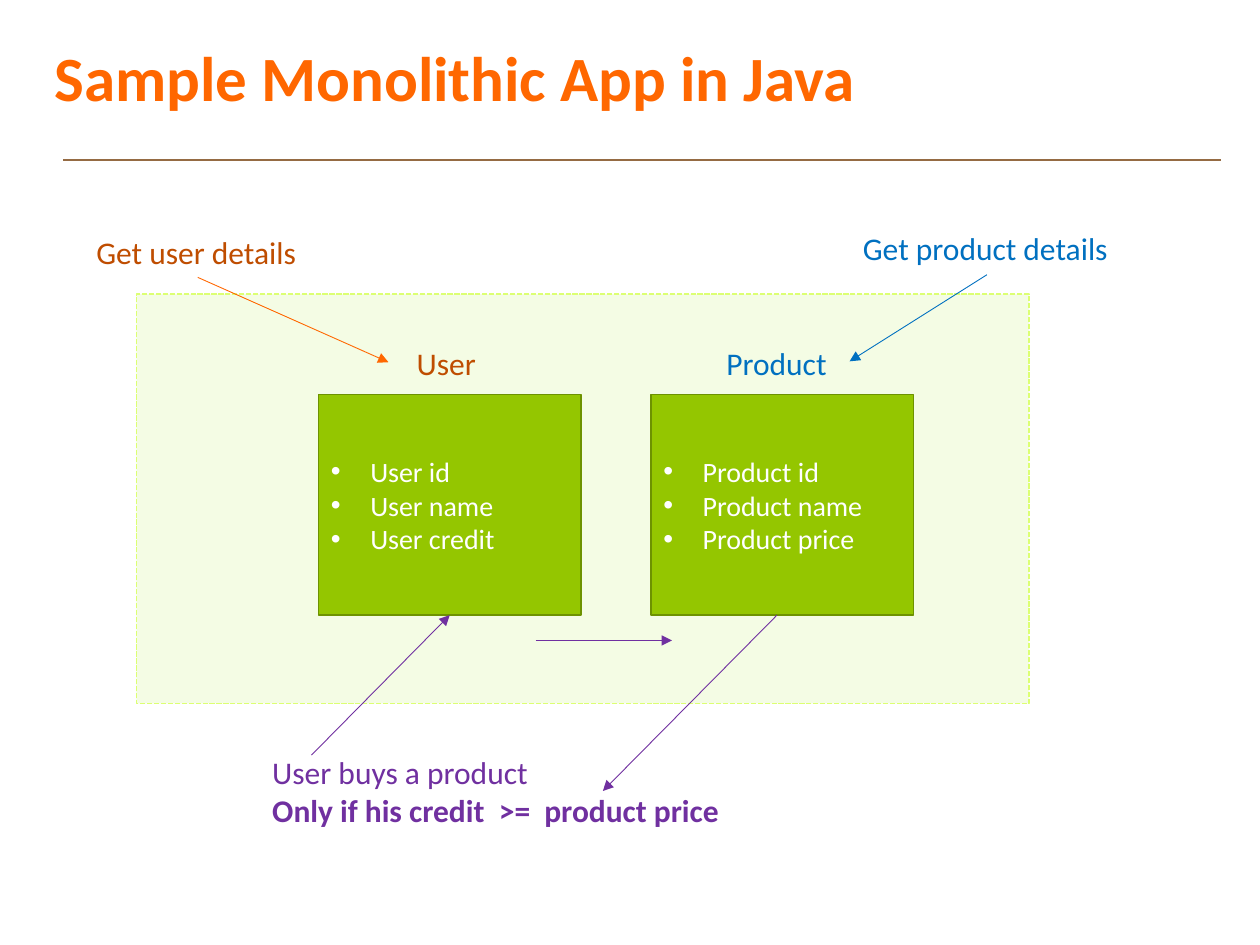
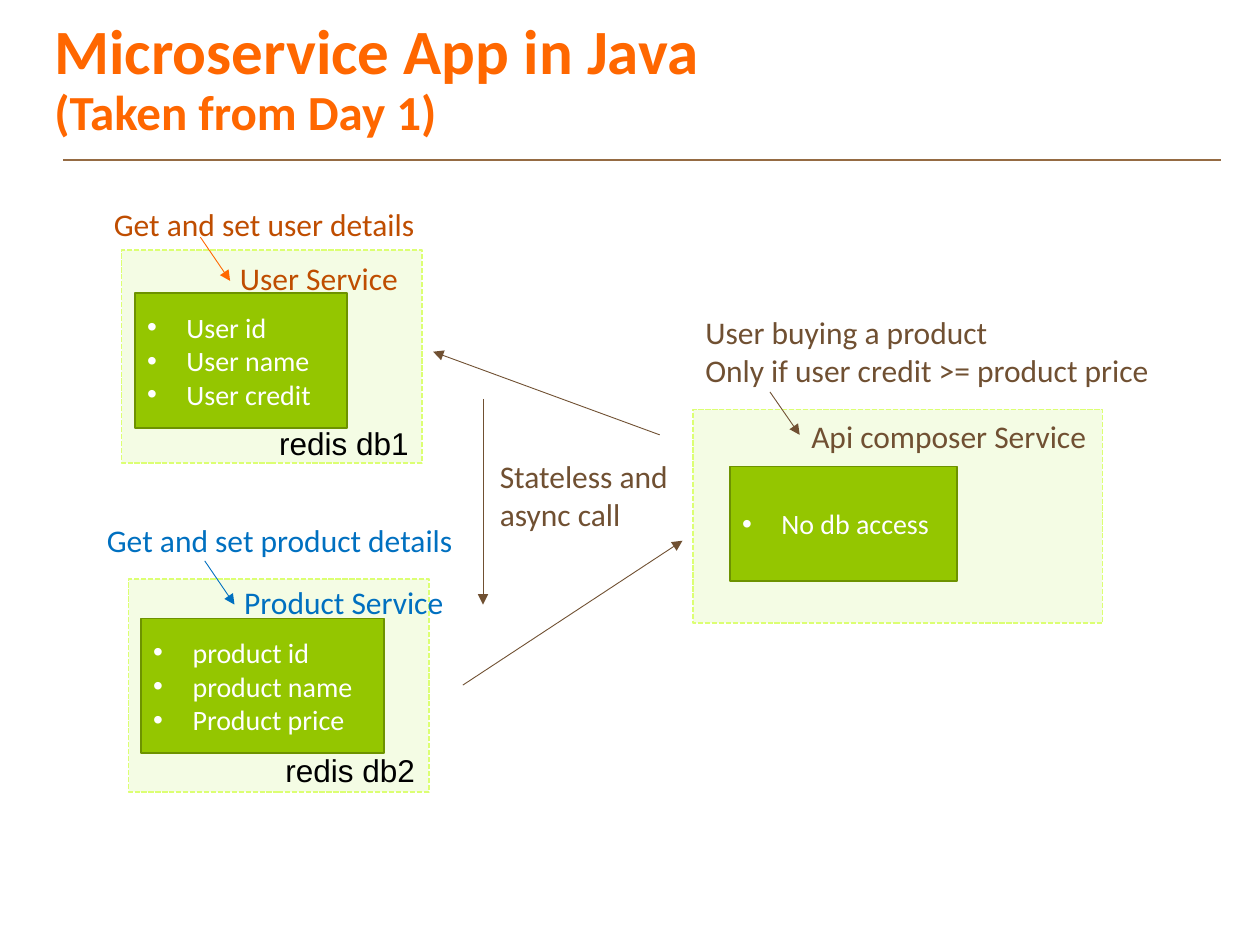
import dataclasses
import lxml.etree
import pptx
import pptx.dml.color
import pptx.enum.dml
import pptx.enum.shapes
import pptx.enum.text
import pptx.oxml.ns
import pptx.util

Pt = pptx.util.Pt
qn = pptx.oxml.ns.qn


# Theme
@dataclasses.dataclass(frozen=True)
class Theme:
    font: str = "Calibri"
    database_font: str = "Arial"
    title_size: float = 36
    subtitle_size: float = 28
    label_size: float = 18
    card_size: float = 16
    orange: str = "FF6700"
    user: str = "BF4D00"
    product: str = "0070C0"
    purchase: str = "7030A0"
    composer: str = "705032"
    database: str = "000000"
    rule: str = "956B43"
    panel: str = "F4FCE4"
    panel_edge: str = "DCFF73"
    card: str = "94C600"
    card_edge: str = "6D9200"
    card_text: str = "FFFFFF"


THEME = Theme()


# Repeated elements; all lengths in points
@dataclasses.dataclass(frozen=True)
class Area:
    left: float
    top: float
    width: float
    height: float

    def lengths(self) -> tuple:
        return Pt(self.left), Pt(self.top), Pt(self.width), Pt(self.height)


@dataclasses.dataclass(frozen=True)
class Card:
    area: Area
    items: tuple


@dataclasses.dataclass(frozen=True)
class Label:
    left: float
    top: float
    width: float
    color: str
    lines: tuple
    bold_line: str = ""
    tabs: tuple = ()
    font: str = THEME.font


@dataclasses.dataclass(frozen=True)
class Arrow:
    start: tuple
    end: tuple
    color: str
    target_card: int | None = None  # card whose bottom side the head joins


@dataclasses.dataclass(frozen=True)
class Diagram:
    title: str
    panels: tuple
    cards: tuple
    labels: tuple
    arrows: tuple
    subtitle: str = ""


def rgb(color: str) -> pptx.dml.color.RGBColor:
    return pptx.dml.color.RGBColor.from_string(color)


def style_font(font, size: float, color: str, name: str = THEME.font, bold: bool = False) -> None:
    font.name, font.size, font.bold = name, Pt(size), bold
    font.color.rgb = rgb(color)


def fill_paragraphs(frame, lines: tuple) -> list:
    """Put one line of text in each paragraph of the frame."""
    paragraphs = []
    for index, line in enumerate(lines):
        para = frame.add_paragraph() if index else frame.paragraphs[0]
        para.text = line
        para.alignment = pptx.enum.text.PP_ALIGN.LEFT
        paragraphs.append(para)
    return paragraphs


def add_rectangle(page, area: Area, fill: str, edge: str):
    box = page.shapes.add_shape(pptx.enum.shapes.MSO_SHAPE.RECTANGLE, *area.lengths())
    box.shadow.inherit = False
    box.fill.solid()
    box.fill.fore_color.rgb = rgb(fill)
    box.line.color.rgb = rgb(edge)
    box.line.width = Pt(1)
    return box


def add_panel(page, area: Area) -> None:
    panel = add_rectangle(page, area, THEME.panel, THEME.panel_edge)
    panel.line.dash_style = pptx.enum.dml.MSO_LINE.SQUARE_DOT


def add_card(page, card: Card):
    box = add_rectangle(page, card.area, THEME.card, THEME.card_edge)
    frame = box.text_frame
    frame.word_wrap = True
    frame.vertical_anchor = pptx.enum.text.MSO_ANCHOR.MIDDLE
    indent = Pt(22.5)
    for para in fill_paragraphs(frame, card.items):
        properties = para._p.get_or_add_pPr()
        properties.set("marL", str(indent))
        properties.set("indent", str(-indent))
        lxml.etree.SubElement(properties, qn("a:buFont"), typeface="Arial")
        lxml.etree.SubElement(properties, qn("a:buChar"), char="•")
        style_font(para.font, THEME.card_size, THEME.card_text)
    return box


def add_label(page, label: Label) -> None:
    lines = label.lines + ((label.bold_line,) if label.bold_line else ())
    area = Area(label.left, label.top, label.width, 7.2 + 22 * len(lines))
    frame = page.shapes.add_textbox(*area.lengths()).text_frame
    frame.word_wrap = False
    frame.auto_size = pptx.enum.text.MSO_AUTO_SIZE.SHAPE_TO_FIT_TEXT
    for para in fill_paragraphs(frame, lines):
        bold = para.text == label.bold_line
        if bold and label.tabs:
            tab_list = lxml.etree.SubElement(para._p.get_or_add_pPr(), qn("a:tabLst"))
            for position in label.tabs:
                lxml.etree.SubElement(tab_list, qn("a:tab"), pos=str(Pt(position)), algn="l")
        style_font(para.font, THEME.label_size, label.color, label.font, bold)


def add_line(page, start: tuple, end: tuple, color: str, width: float):
    points = [Pt(value) for value in start + end]
    line = page.shapes.add_connector(pptx.enum.shapes.MSO_CONNECTOR.STRAIGHT, *points)
    line.line.color.rgb = rgb(color)
    line.line.width = Pt(width)
    lxml.etree.SubElement(line.element.spPr, qn("a:effectLst"))
    return line


def add_arrow(page, arrow: Arrow, cards: list) -> None:
    line = add_line(page, arrow.start, arrow.end, arrow.color, 0.5)
    outline = line.element.spPr.find(qn("a:ln"))
    lxml.etree.SubElement(outline, qn("a:tailEnd"), type="triangle")
    if arrow.target_card is not None:
        line.end_connect(cards[arrow.target_card], 2)


def add_title(page, diagram: Diagram) -> None:
    frame = page.shapes.add_textbox(*Area(24, -6, 684, 104.4).lengths()).text_frame
    frame.word_wrap = True
    frame.vertical_anchor = pptx.enum.text.MSO_ANCHOR.MIDDLE
    para = frame.paragraphs[0]
    para.line_spacing = 0.9
    span = para.add_run()
    span.text = diagram.title
    style_font(span.font, THEME.title_size, THEME.orange, bold=True)
    if diagram.subtitle:
        para.add_line_break()
        span = para.add_run()
        span.text = diagram.subtitle
        style_font(span.font, THEME.subtitle_size, THEME.orange, bold=True)


def add_diagram(deck, diagram: Diagram) -> None:
    page = deck.slides.add_slide(deck.slide_layouts[6])
    add_line(page, (36, 91.5), (697.5, 91.5), THEME.rule, 1)
    add_title(page, diagram)
    for panel in diagram.panels:
        add_panel(page, panel)
    cards = [add_card(page, card) for card in diagram.cards]
    for label in diagram.labels:
        add_label(page, label)
    for arrow in diagram.arrows:
        add_arrow(page, arrow, cards)


# Content
USER_ITEMS = ("User id", "User name", "User credit")

MONOLITH = Diagram(
    title="Sample Monolithic App in Java",
    panels=(Area(78, 168, 510, 234),),
    cards=(
        Card(Area(182, 225.5, 150, 126), USER_ITEMS),
        Card(Area(372, 225.5, 150, 126), ("Product id", "Product name", "Product price")),
    ),
    labels=(
        Label(231, 193, 49, THEME.user, ("User",)),
        Label(408, 193, 73, THEME.product, ("Product",)),
        Label(48, 129.5, 130, THEME.user, ("Get user details",)),
        Label(486, 127.5, 156, THEME.product, ("Get product details",)),
        Label(148.5, 427, 272, THEME.purchase, ("User buys a product",),
              bold_line="Only if his credit\t>=\tproduct price", tabs=(129.5, 155.5)),
    ),
    arrows=(
        Arrow((113, 158.5), (222, 207), THEME.orange),
        Arrow((564, 157), (485.5, 206.5), THEME.product),
        Arrow((178, 431.5), (257, 351.5), THEME.purchase, target_card=0),
        Arrow((306, 366), (384, 366), THEME.purchase),
        Arrow((444, 351.5), (344.5, 452), THEME.purchase),
    ),
)

MICROSERVICES = Diagram(
    title="Microservice App in Java",
    subtitle="(Taken from Day 1)",
    panels=(
        Area(69.5, 143, 171.5, 121.5),
        Area(73.5, 331, 171.5, 121.5),
        Area(396, 234, 234, 122),
    ),
    cards=(
        Card(Area(77, 167.5, 121.5, 77), USER_ITEMS),
        Card(Area(80.5, 353.5, 139, 77), ("product id", "product name", "Product price")),
        Card(Area(417, 266.5, 130, 65.5), ("No db access",)),
    ),
    labels=(
        Label(130, 144.5, 106, THEME.user, ("User Service",)),
        Label(58, 113.5, 189, THEME.user, ("Get and set user details",)),
        Label(456.5, 234.5, 173.5, THEME.composer, ("Api composer Service",)),
        Label(396, 175.5, 271.5, THEME.composer,
              ("User buying a product", "Only if user credit >= product price")),
        Label(132.5, 329.5, 129.5, THEME.product, ("Product Service",)),
        Label(54, 294, 214.5, THEME.product, ("Get and set product details",)),
        Label(278.5, 257.5, 111.5, THEME.composer, ("Stateless and", "async call")),
        Label(152.5, 238.5, 89, THEME.database, ("redis db1",), font=THEME.database_font),
        Label(156, 425.5, 89, THEME.database, ("redis db2",), font=THEME.database_font),
    ),
    arrows=(
        Arrow((114.5, 135.5), (131.5, 160.5), THEME.orange),
        Arrow((440, 224), (457, 248.5), THEME.composer),
        Arrow((117, 320.5), (134, 345.5), THEME.product),
        Arrow((377, 248.5), (247.5, 201), THEME.composer),
        Arrow((276, 228), (276, 345.5), THEME.composer),
        Arrow((264.5, 391.5), (390, 309), THEME.composer),
    ),
)


def main() -> None:
    deck = pptx.Presentation()
    deck.slide_width, deck.slide_height = Pt(720), Pt(540)
    for diagram in (MONOLITH, MICROSERVICES):
        add_diagram(deck, diagram)
    deck.save("out.pptx")


if __name__ == "__main__":
    main()
